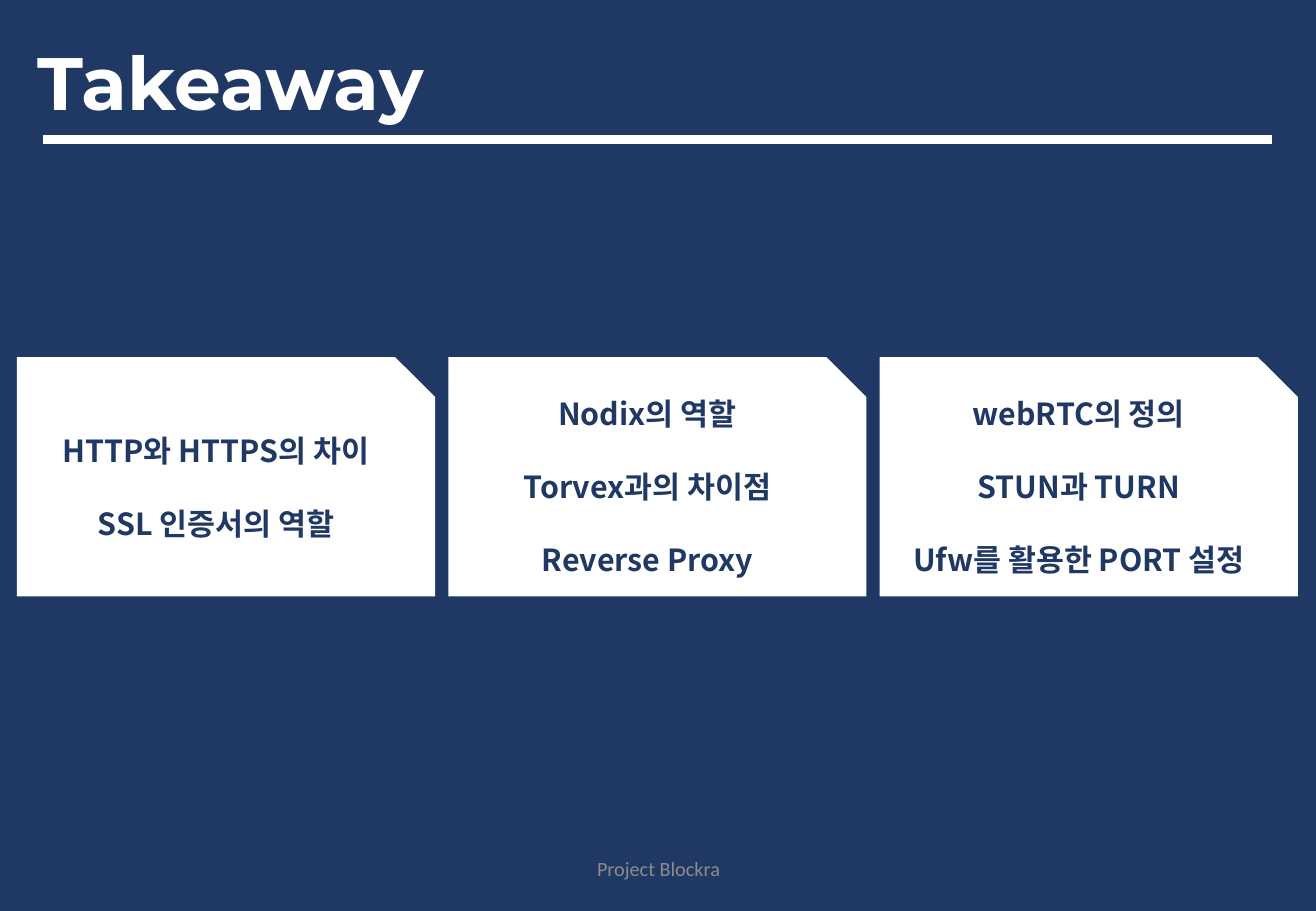
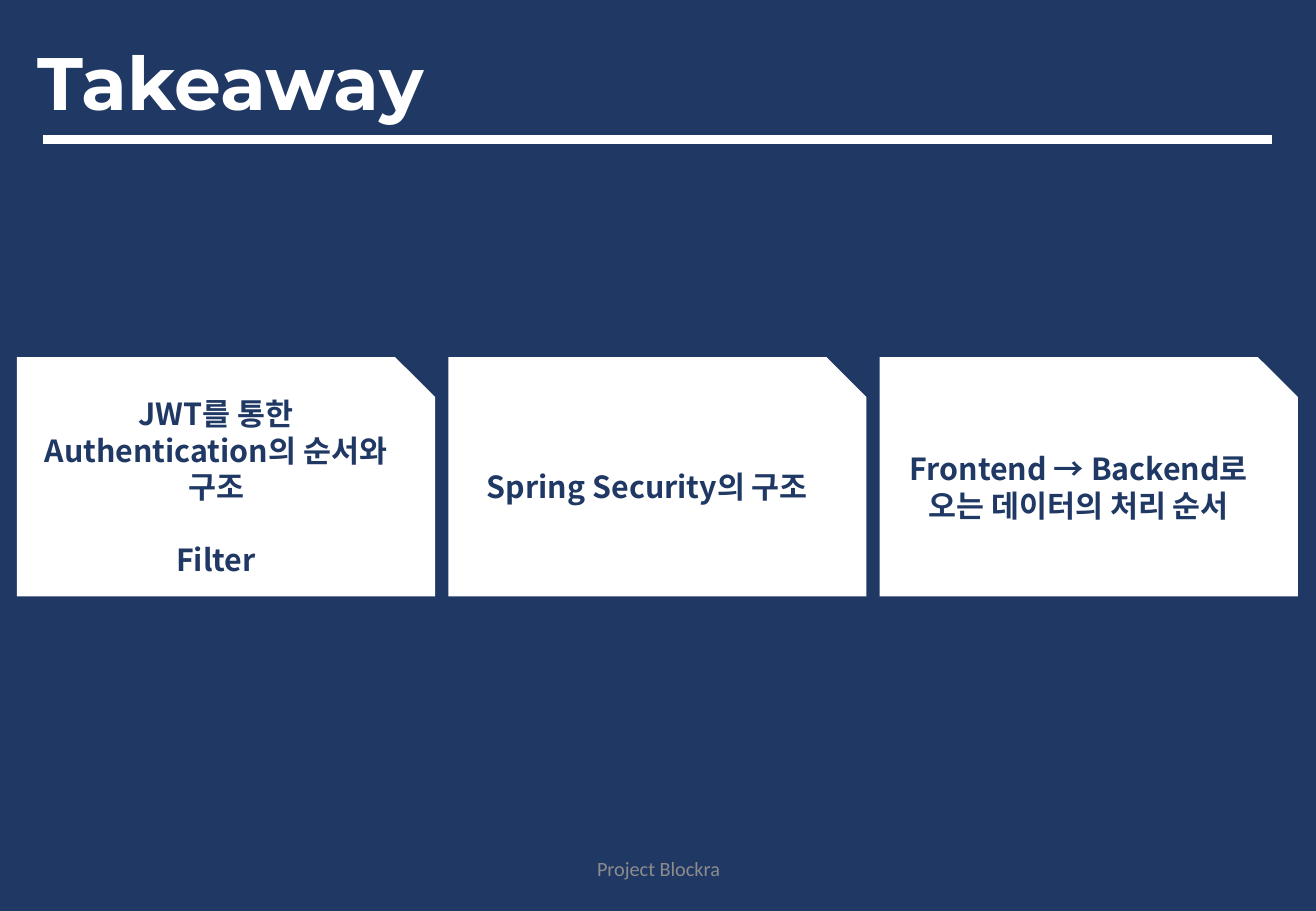
from dataclasses import dataclass

from lxml import etree
from pptx import Presentation
from pptx import util as u
from pptx.dml.color import RGBColor
from pptx.enum import shapes, text
from pptx.oxml import ns


@dataclass(frozen=True)
class Theme:
    navy: str = "203864"
    white: str = "FFFFFF"
    grey: str = "8C8C8C"
    title_font: str = "Montserrat"
    card_font: str = "Noto Sans CJK KR"
    footer_font: str = "Calibri"
    title_size: int = 44
    card_size: int = 18
    footer_size: int = 12
    card_gap: float = 21.6
    rule_width: int = 5


THEME = Theme()
EMU_PER_PX = 9144
SLIDE_SIZE = 1083, 750
TITLE_BOX = 21, 14, 934, 114
FOOTER_BOX = 359, 695, 366, 40
RULE_LEFT, RULE_RIGHT, RULE_TOP = 35, 1047, 115
CARD_LEFT, CARD_TOP, CARD_WIDTH, CARD_HEIGHT = 14, 294, 344, 197
CARD_PITCH = 355

TITLE = "Takeaway"
FOOTER = "Project Blockra"
SLIDES = [
    [
        ["HTTP와 HTTPS의 차이", "SSL 인증서의 역할"],
        ["Nodix의 역할", "Torvex과의 차이점", "Reverse Proxy"],
        ["webRTC의 정의", "STUN과 TURN", "Ufw를 활용한 PORT 설정"],
    ],
    [
        ["JWT를 통한 Authentication의 순서와 구조", "Filter"],
        ["Spring Security의 구조"],
        ["Frontend → Backend로 오는 데이터의 처리 순서"],
    ],
]


def px(*values):
    return [u.Emu(value * EMU_PER_PX) for value in values]


def color(value):
    return RGBColor.from_string(value)


def write(sp, lines, *, font, size, fill, bold=False,
          align=text.PP_ALIGN.CENTER, gap=0, spacing=None):
    tf = sp.text_frame
    tf.word_wrap = True
    tf.auto_size = text.MSO_AUTO_SIZE.NONE
    tf.vertical_anchor = text.MSO_ANCHOR.MIDDLE
    for i, line in enumerate(lines):
        p = tf.add_paragraph() if i else tf.paragraphs[0]
        p.alignment = align
        p.line_spacing = spacing
        if i:
            p.space_before = u.Pt(gap)
        r = p.add_run()
        r.text = line
        r.font.name = font
        r.font.size = u.Pt(size)
        r.font.bold = bold
        r.font.color.rgb = color(fill)
        ea = etree.SubElement(r.font._element, ns.qn("a:ea"))
        ea.set("typeface", font)


def add_title(s):
    sp = s.shapes.title
    sp.left, sp.top, sp.width, sp.height = px(*TITLE_BOX)
    write(sp, [TITLE], font=THEME.title_font, size=THEME.title_size,
          fill=THEME.white, bold=True, align=text.PP_ALIGN.LEFT, spacing=0.9)


def add_rule(s):
    line = s.shapes.add_connector(
        shapes.MSO_CONNECTOR.STRAIGHT,
        *px(RULE_LEFT, RULE_TOP, RULE_RIGHT, RULE_TOP))
    line.line.color.rgb = color(THEME.white)
    line.line.width = u.Pt(THEME.rule_width)
    etree.SubElement(line._element.spPr, ns.qn("a:effectLst"))


def add_footer(s):
    sp = s.shapes.add_textbox(*px(*FOOTER_BOX))
    write(sp, [FOOTER], font=THEME.footer_font, size=THEME.footer_size,
          fill=THEME.grey)


def add_card(s, column, lines):
    left = CARD_LEFT + column * CARD_PITCH
    sp = s.shapes.add_shape(
        shapes.MSO_SHAPE.SNIP_1_RECTANGLE,
        *px(left, CARD_TOP, CARD_WIDTH, CARD_HEIGHT))
    sp.shadow.inherit = False
    sp.fill.solid()
    sp.fill.fore_color.rgb = color(THEME.white)
    sp.line.fill.background()
    write(sp, lines, font=THEME.card_font, size=THEME.card_size,
          fill=THEME.navy, bold=True, gap=THEME.card_gap)


def add_takeaway_slide(prs, cards):
    s = prs.slides.add_slide(prs.slide_layouts.get_by_name("Title Only"))
    add_title(s)
    add_rule(s)
    add_footer(s)
    for column, lines in enumerate(cards):
        add_card(s, column, lines)


def main():
    prs = Presentation()
    prs.slide_width, prs.slide_height = px(*SLIDE_SIZE)
    background = prs.slide_master.background.fill
    background.solid()
    background.fore_color.rgb = color(THEME.navy)
    for cards in SLIDES:
        add_takeaway_slide(prs, cards)
    prs.save("out.pptx")


if __name__ == "__main__":
    main()
